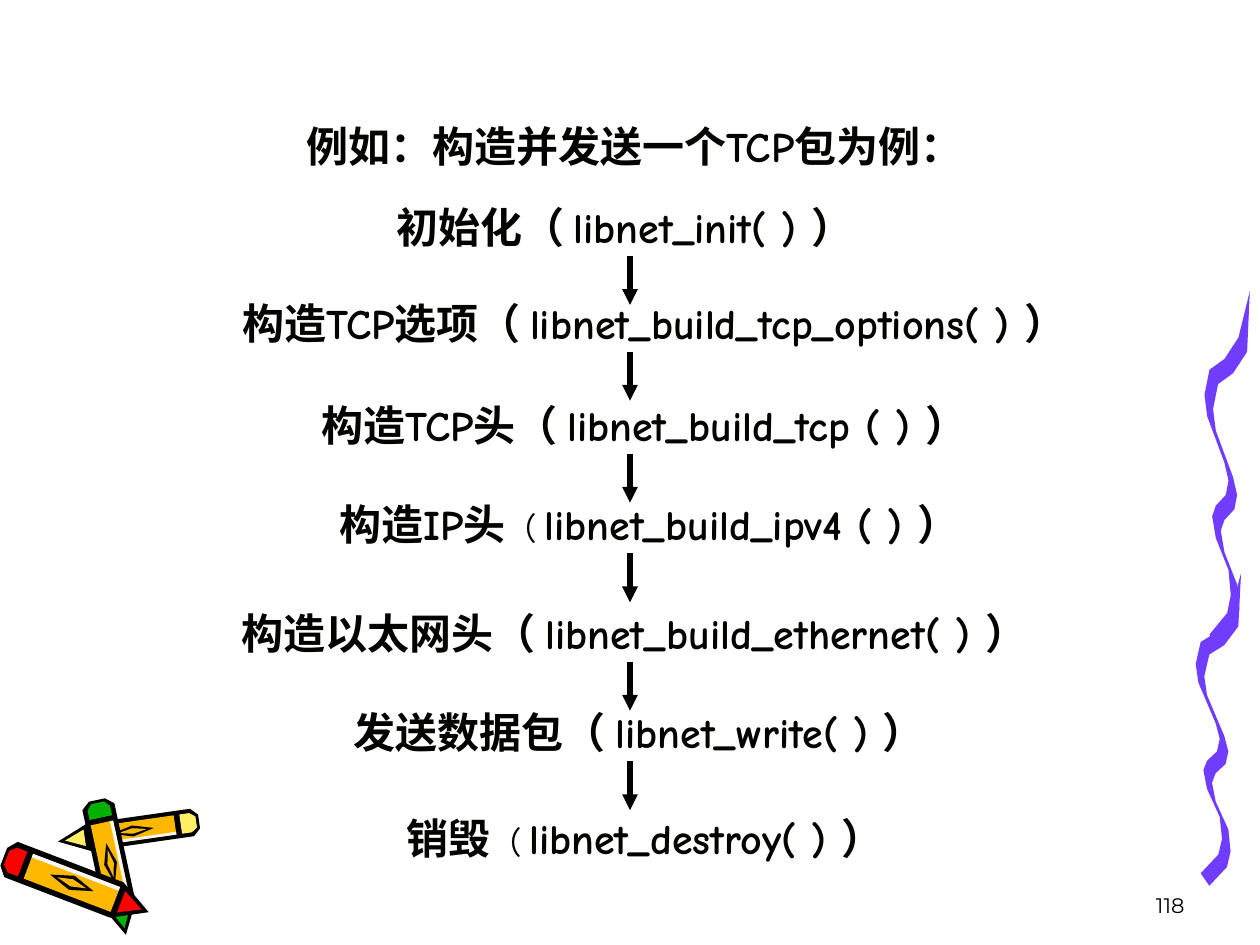
"""Build a slide that shows the steps for making and sending a TCP packet."""
from math import hypot

from lxml import etree
from pptx import Presentation
from pptx.dml.color import RGBColor
from pptx.enum.shapes import MSO_CONNECTOR
from pptx.enum.text import MSO_ANCHOR, MSO_AUTO_SIZE, PP_ALIGN
from pptx.oxml.ns import qn
from pptx.util import Inches, Pt

LINE = MSO_CONNECTOR.STRAIGHT
TOP, BOTTOM = MSO_ANCHOR.TOP, MSO_ANCHOR.BOTTOM
GROW, FIXED = MSO_AUTO_SIZE.SHAPE_TO_FIT_TEXT, MSO_AUTO_SIZE.NONE
CENTER, RIGHT = PP_ALIGN.CENTER, PP_ALIGN.RIGHT
BLACK = RGBColor(0x00, 0x00, 0x00)
INK = RGBColor(0x03, 0x03, 0x01)
WHITE = RGBColor(0xF8, 0xF8, 0xF8)
CREAM = RGBColor(0xFF, 0xEF, 0x66)
RED = RGBColor(0xFF, 0x00, 0x00)
AMBER = RGBColor(0xFF, 0xB8, 0x00)
GREEN = RGBColor(0x00, 0xB2, 0x00)
PURPLE = RGBColor(0x70, 0x3D, 0xFF)
FONT, PLAIN = "Comic Neue", "Montserrat"

# All places count in thousandths of the slide width: left, top, width, height.
PAREN = "（ "
TITLE, TITLE_BOX = "例如：构造并发送一个TCP包为例：", (35, 91, 937, 50)
NUMBER, NUMBER_BOX = "118", (717, 683, 233, 50)
STEPS = [
    (["初始化（ libnet_init( ) ）"], (295, 155, 402, 50)),
    (["构造TCP选项（ libnet_build_tcp_options( ) ）"], (106, 231, 827, 50)),
    (["构造TCP头（ libnet_build_tcp ( ) ）"], (98, 312, 827, 50)),
    (["构造IP头", PAREN, "libnet_build_ipv4 ( ) ）"], (185, 391, 661, 50)),
    (["构造以太网头（ libnet_build_ethernet( ) ）"], (161, 477, 685, 50)),
    (["发送数据包（ libnet_write( ) ）"], (232, 556, 551, 50)),
    (["销毁", PAREN, "libnet_destroy( ) ）"], (311, 640, 402, 90)),
]
ARROW_X, ARROW_DROP, ARROW_LEN = 500, 48, 39

# Each crayon: back end, tip, half of its width, colour of cap and tip.
CRAYONS = [
    ((158, 652), (46, 668), 11, CREAM),
    ((77, 635), (100, 742), 13, GREEN),
    ((3, 680), (118, 724), 15, RED),
]
# Crayon parts: share of the length from back to tip, share of the half width.
SHELL = [(0, -0.5), (0.05, -1), (0.78, -1), (1, 0), (0.78, 1), (0.05, 1), (0, 0.5)]
CAP = [(0.02, -0.4), (0.06, -0.7), (0.13, -0.7), (0.13, 0.7), (0.06, 0.7), (0.02, 0.4)]
BODY = [(0.17, -0.7), (0.77, -0.7), (0.77, 0.7), (0.17, 0.7)]
SHINE = [(0.17, -0.7), (0.77, -0.7), (0.77, -0.5), (0.17, -0.5)]
LABEL = [(0.32, 0), (0.47, -0.4), (0.62, 0), (0.47, 0.4)]
HOLE = [(0.37, 0), (0.47, -0.2), (0.57, 0), (0.47, 0.2)]
POINT = [(0.81, -0.6), (0.95, 0), (0.81, 0.6)]

# A wave is one edge, in percent of its box, and the same edge moved by BAND.
WAVES = [(949, 455, 36, 248), (956, 231, 36, 284)]
EDGE = [(100, 0), (75, 13), (44, 19), (11, 22), (0, 29), (6, 35), (44, 48), (53, 53),
        (47, 57), (25, 60), (17, 63), (25, 69), (53, 78), (58, 85), (50, 90), (11, 96)]
BAND = (19, 4)

deck = Presentation()
deck.slide_width, deck.slide_height = Inches(10), Inches(7.5)
UNIT = deck.slide_width // 1000
slide = deck.slides.add_slide(deck.slide_layouts[5])
shapes = slide.shapes


def fill(color, points):
    """Draw one filled outline."""
    first, *rest = [(round(x * UNIT), round(y * UNIT)) for x, y in points]
    pen = shapes.build_freeform(*first)
    pen.add_line_segments(rest, close=True)
    shape = pen.convert_to_shape()
    shape.shadow.inherit = False
    shape.fill.solid()
    shape.fill.fore_color.rgb = color
    shape.line.fill.background()


def crayon(back, tip, half, color):
    """Draw a crayon along the line from its back end to its tip."""
    (x, y), dx, dy = back, tip[0] - back[0], tip[1] - back[1]
    across = half / hypot(dx, dy)
    parts = [(BLACK, SHELL), (color, CAP), (AMBER, BODY), (WHITE, SHINE),
             (BLACK, LABEL), (AMBER, HOLE), (color, POINT)]
    for shade, part in parts:
        fill(shade, [(x + dx * u - dy * across * v, y + dy * u + dx * across * v)
                     for u, v in part])


def wave(left, top, width, height):
    """Draw a ribbon between the edge and its moved twin."""
    twin = [(x + BAND[0], y + BAND[1]) for x, y in EDGE[1:]]
    fill(PURPLE, [(left + width * x / 100, top + height * y / 100)
                  for x, y in EDGE + twin[::-1]])


def write(parts, place, box=None, size=24, font=FONT, color=INK, bold=True,
          align=CENTER, anchor=TOP, fit=GROW, before=15):
    """Write runs of text in a new box or in the one given."""
    spot = [n * UNIT for n in place]
    box = box or shapes.add_textbox(*spot)
    box.left, box.top, box.width, box.height = spot
    frame = box.text_frame
    frame.word_wrap, frame.auto_size, frame.vertical_anchor = True, fit, anchor
    para = frame.paragraphs[0]
    para.alignment, para.space_before = align, Pt(before)
    for part in parts:
        small = part == PAREN
        run = para.add_run()
        run.text = part
        run.font.name, run.font.size = font, Pt(18 if small else size)
        run.font.bold = bold and not small
        run.font.color.rgb = BLACK if small else color


def arrow(top):
    """Draw one arrow that points down."""
    x = ARROW_X * UNIT
    link = shapes.add_connector(LINE, x, top * UNIT, x, (top + ARROW_LEN) * UNIT)
    link.line.color.rgb, link.line.width = BLACK, Pt(3)
    props = link._element.spPr
    etree.SubElement(props.find(qn("a:ln")), qn("a:tailEnd"), type="triangle")
    etree.SubElement(props, qn("a:effectLst"))


for item in CRAYONS:
    crayon(*item)
for area in WAVES:
    wave(*area)
write([NUMBER], NUMBER_BOX, size=12, font=PLAIN, color=BLACK, bold=False,
      align=RIGHT, anchor=BOTTOM, fit=FIXED, before=0)
write([TITLE], TITLE_BOX, box=shapes.title)
for parts, place in STEPS:
    write(parts, place)
for _, (_, top, _, _) in STEPS[:-1]:
    arrow(top + ARROW_DROP)
deck.save("out.pptx")
